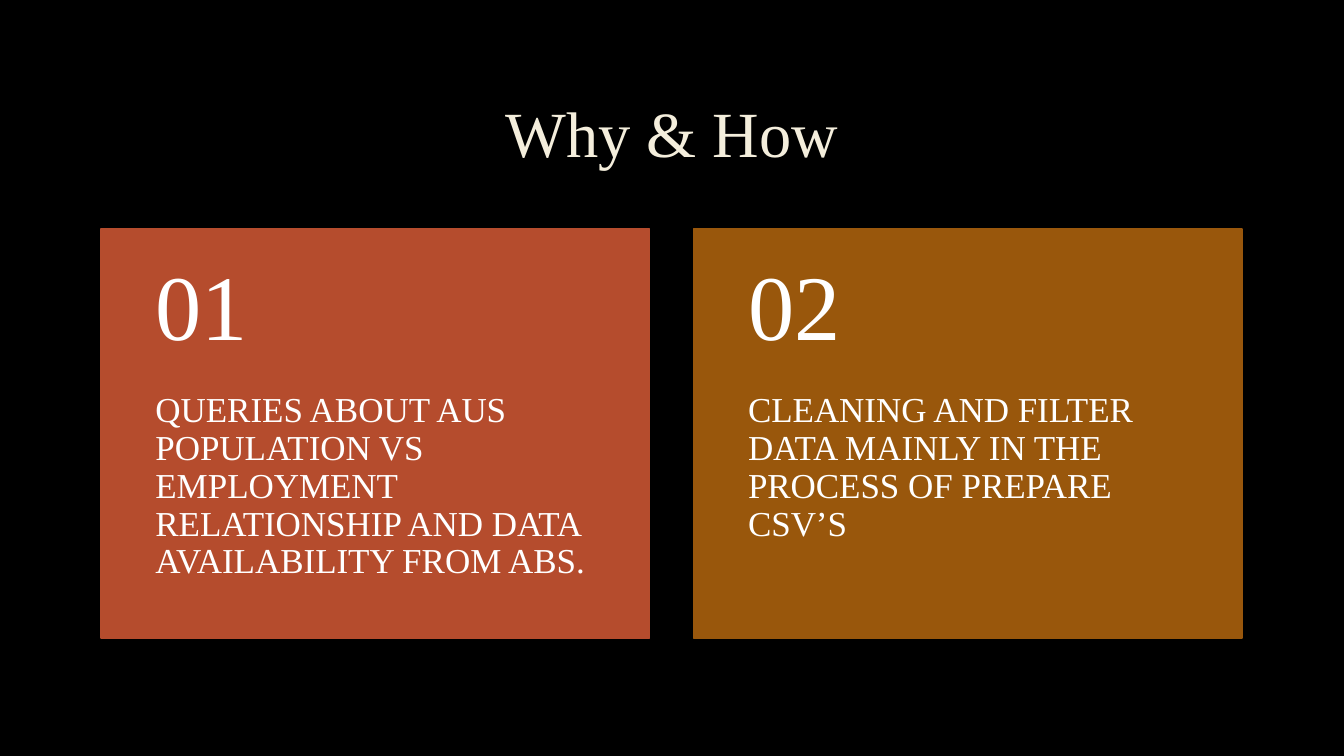
from pptx import Presentation
from pptx.dml.color import RGBColor
from pptx.enum.shapes import MSO_SHAPE
from pptx.enum.text import MSO_ANCHOR, PP_ALIGN
from pptx.util import Pt

BLACK = RGBColor(0x00, 0x00, 0x00)
CREAM = RGBColor(0xF4, 0xEE, 0xDC)
WHITE = RGBColor(0xFF, 0xFF, 0xFF)
RUST = RGBColor(0xB5, 0x4C, 0x2D)
OCHRE = RGBColor(0x99, 0x57, 0x0C)
FONT = "Times New Roman"

MARGIN, CONTENT_WIDTH = 72, 815.3
CARD_TOP, CARD_WIDTH, CARD_HEIGHT = 163.4, 392, 292.6
NUMBER_SHARE = 0.4
SIDE_INSET, NUMBER_INSET, BODY_BOTTOM_INSET = 39, 13, 26

CARDS = [
    ("01", "QUERIES ABOUT AUS POPULATION VS EMPLOYMENT RELATIONSHIP AND DATA "
           "AVAILABILITY FROM ABS.", RUST),
    ("02", "CLEANING AND FILTER DATA MAINLY IN THE PROCESS OF PREPARE CSV’S", OCHRE),
]


def write_text(frame, text, size, color, align, anchor):
    frame.word_wrap = True
    frame.vertical_anchor = anchor
    para = frame.paragraphs[0]
    para.alignment = align
    para.line_spacing = 0.9
    span = para.add_run()
    span.text = text
    for name, value in {"name": FONT, "size": Pt(size), "bold": False}.items():
        setattr(span.font, name, value)
    span.font.color.rgb = color


def place_title(page, text, left, top, width, height):
    title = page.shapes.title
    for name, value in {"left": left, "top": top, "width": width, "height": height}.items():
        setattr(title, name, Pt(value))
    write_text(title.text_frame, text, 46, CREAM, PP_ALIGN.CENTER, MSO_ANCHOR.MIDDLE)


def add_card_text(page, box, text, size, anchor, top_inset, bottom_inset):
    frame = page.shapes.add_textbox(*map(Pt, box)).text_frame
    insets = {"left": SIDE_INSET, "top": top_inset, "right": SIDE_INSET, "bottom": bottom_inset}
    for side, value in insets.items():
        setattr(frame, f"margin_{side}", Pt(value))
    write_text(frame, text, size, WHITE, PP_ALIGN.LEFT, anchor)


def add_card(page, number, body, color, left, top, width, height):
    panel = page.shapes.add_shape(MSO_SHAPE.RECTANGLE, *map(Pt, (left, top, width, height)))
    panel.shadow.inherit = False
    panel.fill.solid()
    panel.fill.fore_color.rgb = color
    panel.line.color.rgb = color
    panel.line.width = Pt(1.25)
    number_height = height * NUMBER_SHARE
    add_card_text(page, (left, top + number_height, width, height - number_height),
                  body, 25, MSO_ANCHOR.TOP, 0, BODY_BOTTOM_INSET)
    add_card_text(page, (left, top, width, number_height),
                  number, 66, MSO_ANCHOR.MIDDLE, NUMBER_INSET, NUMBER_INSET)


def main():
    deck = Presentation()
    deck.slide_width, deck.slide_height = Pt(960), Pt(540)
    page = deck.slides.add_slide(deck.slide_layouts[5])
    page.background.fill.solid()
    page.background.fill.fore_color.rgb = BLACK
    place_title(page, "Why & How", MARGIN, 48, CONTENT_WIDTH, 99)
    step = (CONTENT_WIDTH - CARD_WIDTH) / (len(CARDS) - 1)
    for index, (number, body, color) in enumerate(CARDS):
        add_card(page, number, body, color,
                 MARGIN + index * step, CARD_TOP, CARD_WIDTH, CARD_HEIGHT)
    deck.save("out.pptx")


if __name__ == "__main__":
    main()
